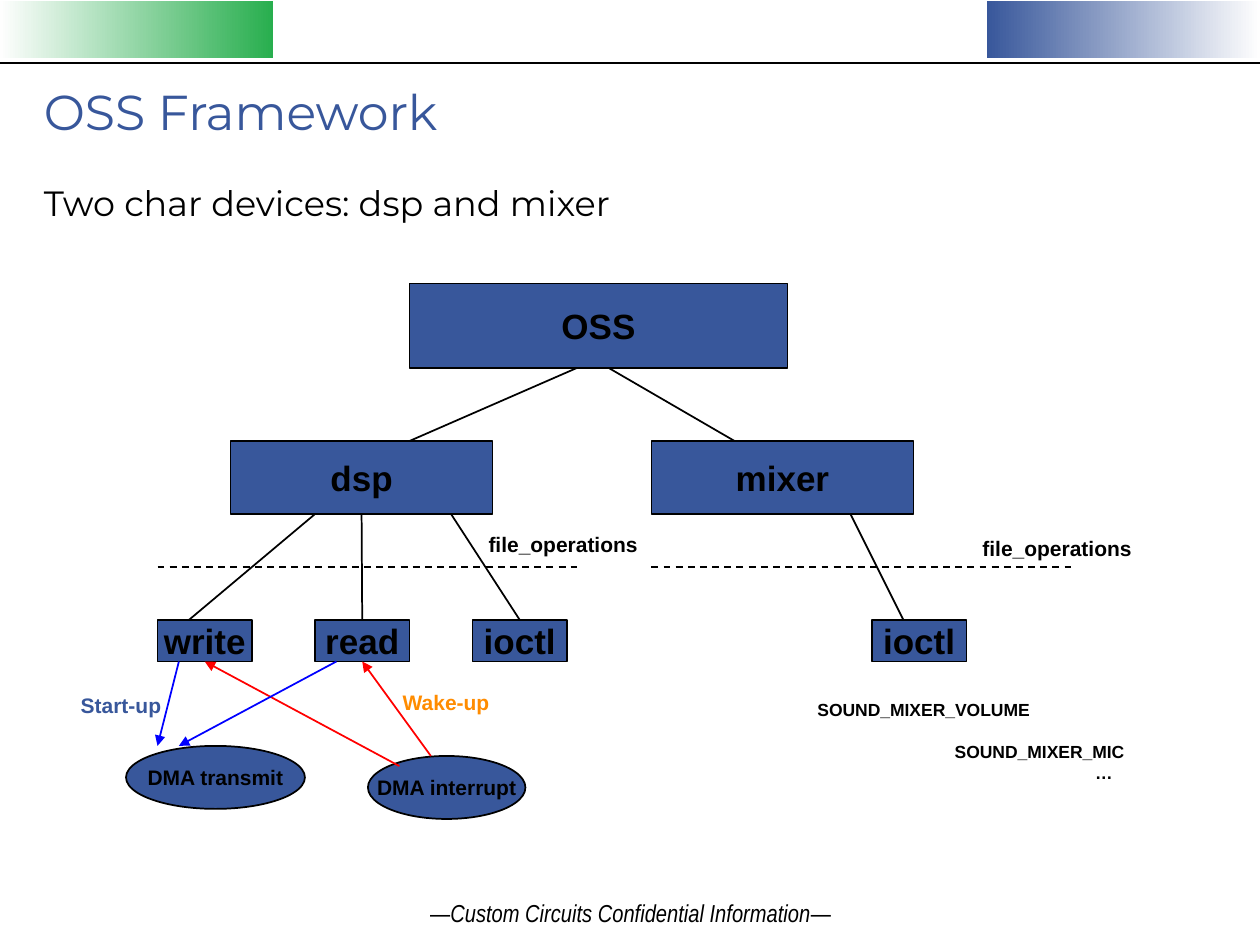
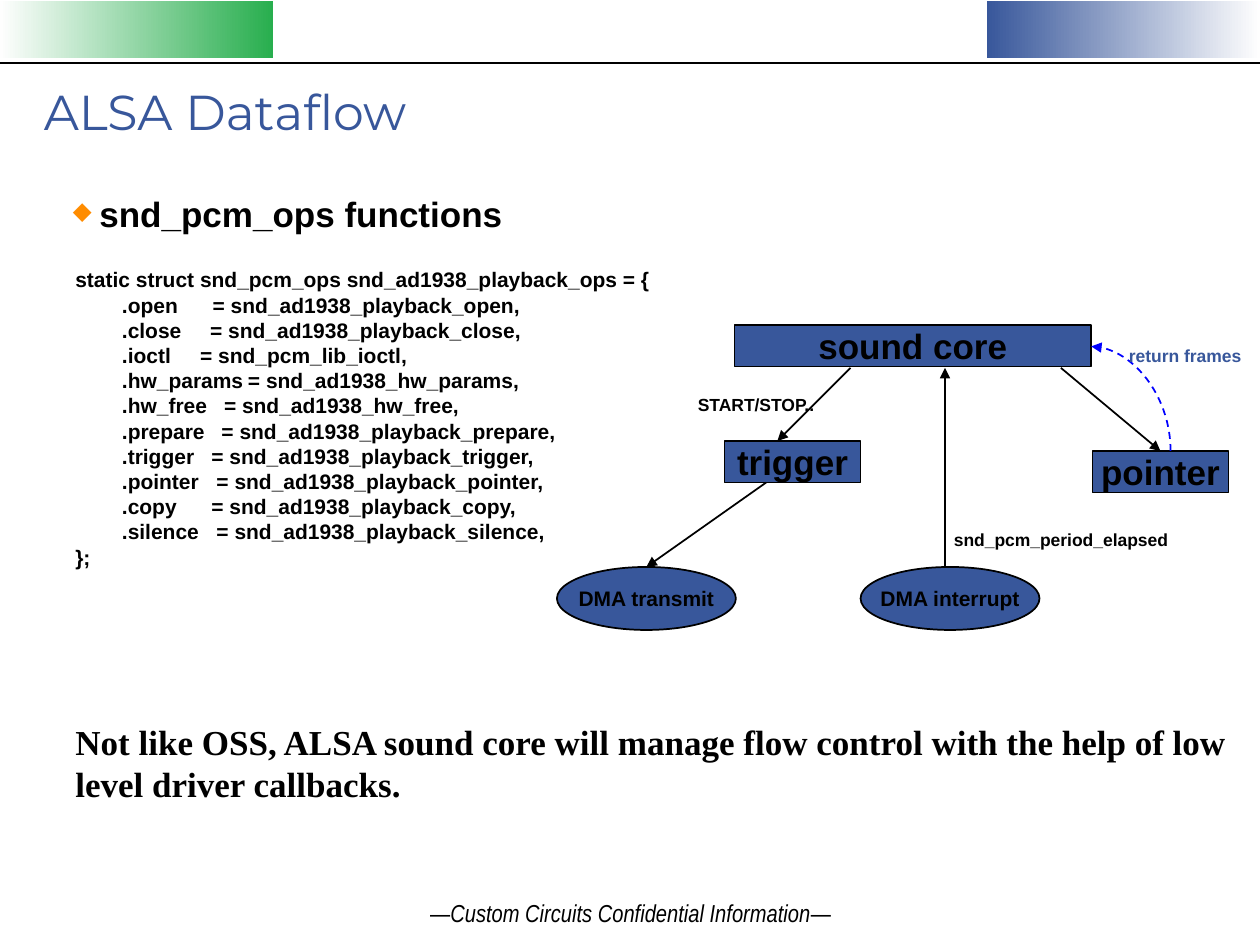
from lxml import etree
from pptx import Presentation
from pptx.dml.color import RGBColor
from pptx.enum.dml import MSO_LINE
from pptx.enum.shapes import MSO_CONNECTOR, MSO_SHAPE
from pptx.enum.text import MSO_ANCHOR, PP_ALIGN
from pptx.oxml.ns import qn
from pptx.util import Inches, Pt

RECTANGLE, ELLIPSE = MSO_SHAPE.RECTANGLE, MSO_SHAPE.OVAL
STRAIGHT, CURVE = MSO_CONNECTOR.STRAIGHT, MSO_CONNECTOR.CURVE
LEFT, CENTER = PP_ALIGN.LEFT, PP_ALIGN.CENTER
TOP, MIDDLE = MSO_ANCHOR.TOP, MSO_ANCHOR.MIDDLE
DASH = MSO_LINE.DASH
TOP_SIDE, BOTTOM_SIDE = 0, 2

COLORS = {
    "black": "000000",
    "white": "FEFEFE",
    "navy": "38579B",
    "green": "28AE4E",
    "orange": "FF8C00",
    "red": "FF0000",
    "blue": "0000FF",
}


def write(shape, text, *, paragraph=None, size=12, color="black", font="Arial", bold=True,
          italic=False, align=CENTER, anchor=TOP, wrap=False, spacing=None, before=0):
    frame = shape.text_frame
    frame.word_wrap = wrap
    frame.vertical_anchor = anchor
    if paragraph is None:
        paragraph = frame.add_paragraph() if frame.text else frame.paragraphs[0]
    paragraph.alignment = align
    paragraph.space_before = Pt(before)
    if spacing:
        paragraph.line_spacing = spacing
    run = paragraph.add_run()
    run.text = text
    run.font.name = font
    run.font.size = Pt(size)
    run.font.bold = bold
    run.font.italic = italic
    run.font.color.rgb = RGBColor.from_string(COLORS[color])
    return paragraph


def connect(slide, start, end, color="black", arrow=False, dash=False, kind=STRAIGHT, width=1):
    connector = slide.shapes.add_connector(kind, *map(Inches, start + end))
    connector.line.color.rgb = RGBColor.from_string(COLORS[color])
    connector.line.width = Pt(width)
    if dash:
        connector.line.dash_style = DASH
    if arrow:
        etree.SubElement(connector.line._get_or_add_ln(), qn("a:tailEnd"), type="triangle")
    etree.SubElement(connector._element.spPr, qn("a:effectLst"))
    return connector


presentation = Presentation()
presentation.slide_width = Inches(10)
presentation.slide_height = Inches(7.5)

slides = []
titles = []
for title in ("OSS Framework", "ALSA Dataflow"):
    slide = presentation.slides.add_slide(presentation.slide_layouts[6])
    connect(slide, (0, 0.5), (10, 0.5), width=0.75)
    for left, first, last in ((0, "green", "white"), (7.83, "white", "navy")):
        band = slide.shapes.add_shape(RECTANGLE, Inches(left), Inches(0.01), Inches(2.17), Inches(0.45))
        band.shadow.inherit = False
        band.line.fill.background()
        band.fill.gradient()
        band.fill.gradient_angle = 180
        for stop, color in zip(band.fill.gradient_stops, (first, last)):
            stop.color.rgb = RGBColor.from_string(COLORS[color])

    footer = slide.shapes.add_textbox(Inches(2.92), Inches(7.08), Inches(4.17), Inches(0.32))
    paragraph = None
    for text, italic in (("—", False), ("Custom Circuits Confidential Information", True), ("—", False)):
        paragraph = write(footer, text, paragraph=paragraph, size=14, font="Arial Narrow",
                          bold=False, italic=italic, anchor=MIDDLE, wrap=True)

    title_box = slide.shapes.add_textbox(Inches(0.25), Inches(0.65), Inches(9.5), Inches(0.95))
    write(title_box, title, size=28, color="navy", font="Montserrat", bold=False,
          align=LEFT, wrap=True, spacing=0.9)
    slides.append(slide)
    titles.append(title_box)

oss, alsa = slides
write(titles[0], "Two char devices: dsp and mixer", size=20, font="Montserrat", bold=False,
      align=LEFT, wrap=True, spacing=0.9, before=26)

nodes = {}
for slide, key, text, geometry, left, top, width, height in (
    (oss, "oss", "OSS", RECTANGLE, 3.25, 2.25, 3, 0.67),
    (oss, "dsp", "dsp", RECTANGLE, 1.83, 3.5, 2.08, 0.58),
    (oss, "mixer", "mixer", RECTANGLE, 5.17, 3.5, 2.08, 0.58),
    (oss, "write", "write", RECTANGLE, 1.25, 4.92, 0.75, 0.33),
    (oss, "read", "read", RECTANGLE, 2.5, 4.92, 0.75, 0.33),
    (oss, "dsp ioctl", "ioctl", RECTANGLE, 3.75, 4.92, 0.75, 0.33),
    (oss, "mixer ioctl", "ioctl", RECTANGLE, 6.92, 4.92, 0.75, 0.33),
    (oss, "oss interrupt", "DMA interrupt", ELLIPSE, 2.92, 6, 1.25, 0.5),
    (oss, "oss transmit", "DMA transmit", ELLIPSE, 1, 5.92, 1.42, 0.5),
    (alsa, "trigger", "trigger", RECTANGLE, 5.75, 3.5, 1.08, 0.33),
    (alsa, "transmit", "DMA transmit", ELLIPSE, 4.42, 4.5, 1.42, 0.5),
    (alsa, "interrupt", "DMA interrupt", ELLIPSE, 6.83, 4.5, 1.42, 0.5),
    (alsa, "sound core", "sound core", RECTANGLE, 5.83, 2.58, 2.83, 0.33),
    (alsa, "pointer", "pointer", RECTANGLE, 8.67, 3.58, 1.08, 0.33),
):
    node = slide.shapes.add_shape(geometry, Inches(left), Inches(top), Inches(width), Inches(height))
    node.shadow.inherit = False
    node.fill.solid()
    node.fill.fore_color.rgb = RGBColor.from_string(COLORS["navy"])
    node.line.color.rgb = RGBColor.from_string(COLORS["black"])
    node.line.width = Pt(1)
    write(node, text, size=12 if geometry == ELLIPSE else 20, anchor=MIDDLE)
    nodes[key] = node

for start, end in (
    ((4.58, 2.92), (3.25, 3.5)),
    ((4.83, 2.92), (5.83, 3.5)),
    ((2.5, 4.08), (1.5, 4.92)),
    ((7.17, 4.92), (6.75, 4.08)),
):
    connect(oss, start, end)

dsp_to_read = connect(oss, (2.87, 4.08), (2.87, 4.92))
dsp_to_read.begin_connect(nodes["dsp"], BOTTOM_SIDE)
dsp_to_read.end_connect(nodes["read"], TOP_SIDE)
connect(oss, (3.58, 4.08), (4.08, 4.92)).end_connect(nodes["dsp ioctl"], TOP_SIDE)

for left in (1.25, 5.17):
    connect(oss, (left, 4.5), (left + 3.33, 4.5), dash=True)

for start, end, target in (
    ((3.17, 6.08), (1.67, 5.25), "write"),
    ((3.42, 6), (2.92, 5.25), "read"),
):
    connect(oss, start, end, color="red", arrow=True).end_connect(nodes[target], BOTTOM_SIDE)

for start, end in (((1.42, 5.25), (1.25, 5.92)), ((2.67, 5.25), (1.42, 5.92))):
    connect(oss, start, end, color="blue", arrow=True)

for start, end, target in (
    ((6.08, 3.83), (5.17, 4.5), "transmit"),
    ((8.42, 2.92), (9.25, 3.58), "pointer"),
):
    connect(alsa, start, end, arrow=True).end_connect(nodes[target], TOP_SIDE)

for start, end in (((7.5, 4.5), (7.5, 2.92)), ((6.75, 2.92), (6.17, 3.5))):
    connect(alsa, start, end, arrow=True)

return_curve = connect(alsa, (8.56, 3.48), (9.39, 2.85), color="blue", arrow=True, dash=True, kind=CURVE)
return_curve._element.spPr.find(qn("a:prstGeom")).set("prst", "curvedConnector2")
return_curve._element.spPr.find(qn("a:xfrm")).set("rot", str(270 * 60000))

for slide, text, left, top, width, size, color in (
    (oss, "file_operations", 3.72, 4.17, 1.5, 12, "black"),
    (oss, "file_operations", 7.64, 4.2, 1.5, 12, "black"),
    (oss, "Start-up", 0.5, 5.45, 0.92, 12, "navy"),
    (oss, "Wake-up", 3.08, 5.42, 0.92, 12, "orange"),
    (oss, "SOUND_MIXER_VOLUME", 6.33, 5.5, 2, 10, "black"),
    (alsa, "snd_pcm_period_elapsed", 7.42, 4.15, 2, 10, "black"),
    (alsa, "START/STOP..", 5.42, 3.08, 1.16, 10, "black"),
    (alsa, "return frames", 8.81, 2.69, 1.19, 10, "navy"),
):
    label = slide.shapes.add_textbox(Inches(left), Inches(top), Inches(width), Inches(0.3))
    write(label, text, size=size, color=color)

controls = oss.shapes.add_textbox(Inches(7.25), Inches(5.83), Inches(2), Inches(0.44))
write(controls, "SOUND_MIXER_MIC", size=10, wrap=True)
ellipsis = write(controls, "…", size=10, wrap=True)
ellipsis._p.get_or_add_pPr().set("marL", str(Inches(1.02)))

heading = alsa.shapes.add_textbox(Inches(0.42), Inches(1.48), Inches(5.5), Inches(0.44))
paragraph = write(heading, "snd_pcm_ops functions", size=20, align=LEFT, wrap=True)
properties = paragraph._p.get_or_add_pPr()
properties.set("marL", str(Inches(0.27)))
properties.set("indent", str(-Inches(0.21)))
bullet_color = etree.SubElement(properties, qn("a:buClr"))
etree.SubElement(bullet_color, qn("a:srgbClr"), val=COLORS["orange"])
etree.SubElement(properties, qn("a:buSzPct"), val="70000")
etree.SubElement(properties, qn("a:buChar"), char="◆")

code_format = {"align": LEFT, "wrap": True}
code = alsa.shapes.add_textbox(Inches(0.5), Inches(2.07), Inches(5.2), Inches(2.5))
write(code, "static struct snd_pcm_ops snd_ad1938_playback_ops = {", **code_format)
for member, callback, equals_at in (
    ("open", "snd_ad1938_playback_open", 1.09),
    ("close", "snd_ad1938_playback_close", 1.07),
    ("ioctl", "snd_pcm_lib_ioctl", 0.99),
    ("hw_params", "snd_ad1938_hw_params", 1.37),
    ("hw_free", "snd_ad1938_hw_free", 1.18),
    ("prepare", "snd_ad1938_playback_prepare", 1.16),
    ("trigger", "snd_ad1938_playback_trigger", 1.08),
    ("pointer", "snd_ad1938_playback_pointer", 1.12),
    ("copy", "snd_ad1938_playback_copy", 1.08),
    ("silence", "snd_ad1938_playback_silence", 1.12),
):
    paragraph = write(code, f"\t.{member}\t= {callback},", **code_format)
    tab_stops = etree.SubElement(paragraph._p.get_or_add_pPr(), qn("a:tabLst"))
    for position in (0.37, equals_at):
        etree.SubElement(tab_stops, qn("a:tab"), pos=str(Inches(position)), algn="l")
write(code, "};", **code_format)

conclusion = alsa.shapes.add_textbox(Inches(0.5), Inches(5.67), Inches(9.5), Inches(0.77))
write(conclusion, "Not like OSS, ALSA sound core will manage flow control with the help of low level driver callbacks.",
      size=20, font="Times New Roman", align=LEFT, wrap=True)

presentation.save("out.pptx")
